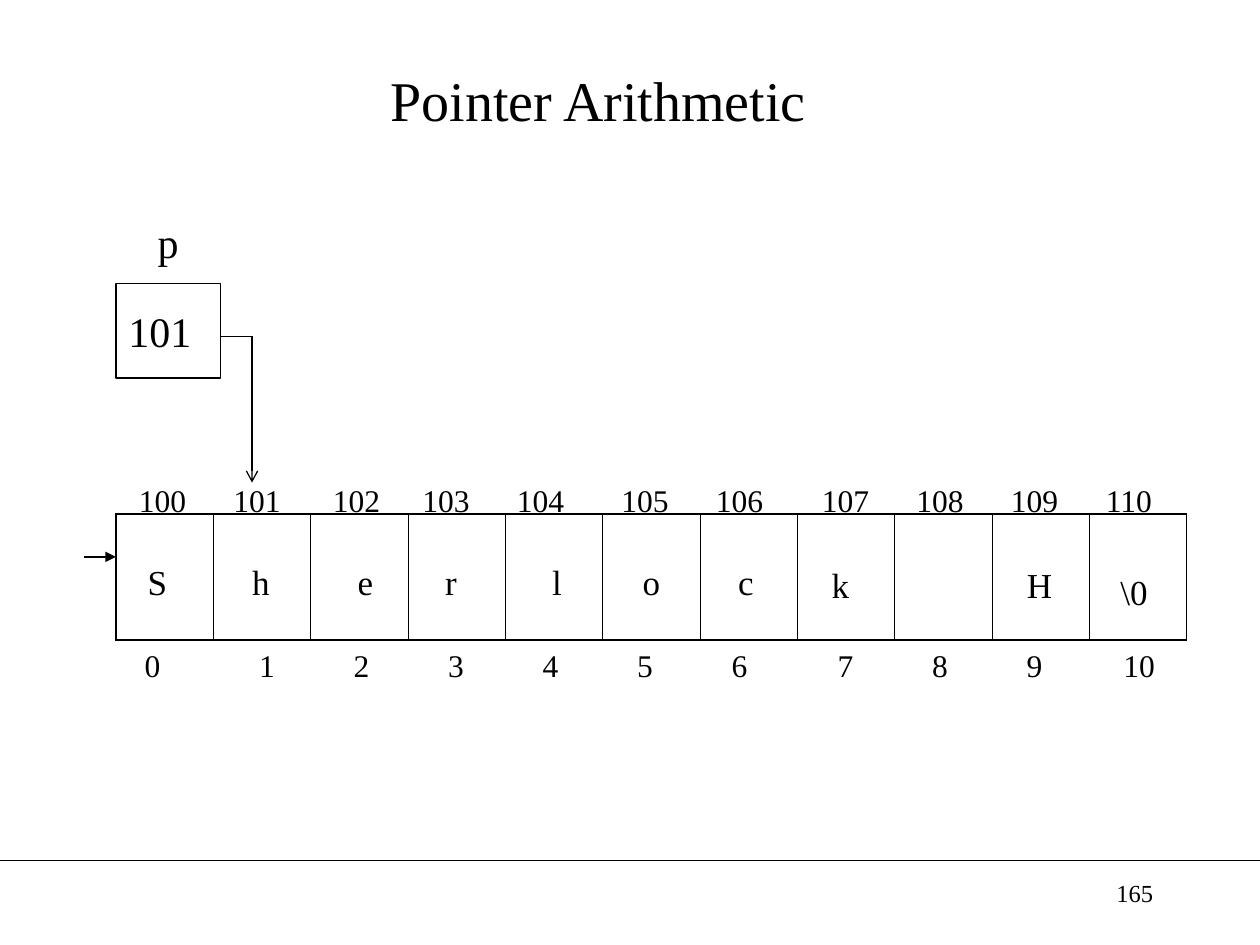
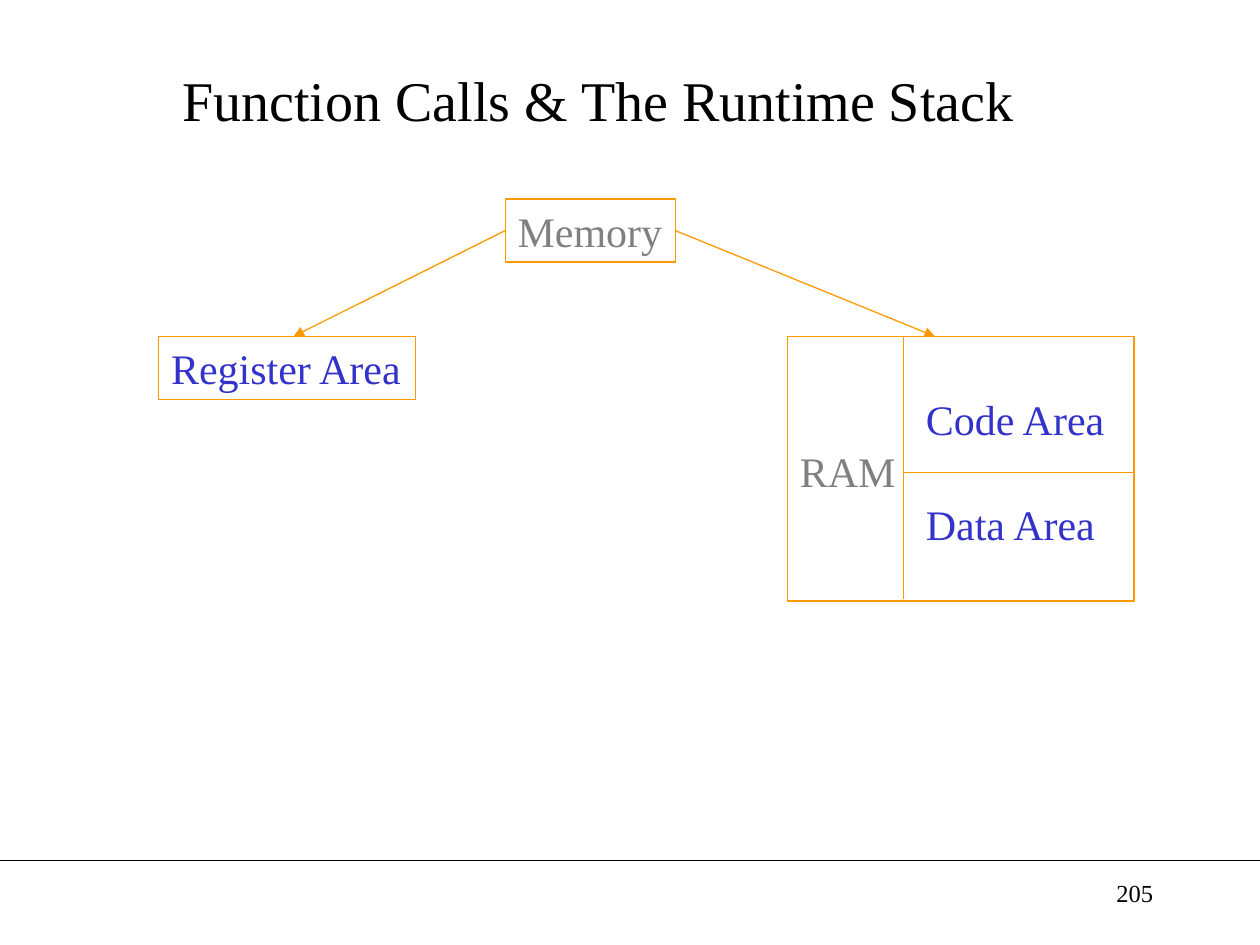
from typing import NamedTuple

from lxml.etree import SubElement
from pptx import Presentation
from pptx.dml.color import RGBColor
from pptx.enum.shapes import MSO_CONNECTOR as Link, MSO_SHAPE as Form
from pptx.enum.text import MSO_ANCHOR as Anchor, PP_ALIGN as Align
from pptx.oxml import parse_xml
from pptx.oxml.ns import nsdecls, qn
from pptx.util import Inches, Pt

FONT = "Times New Roman"
HUES = {
    "ink": "000000",
    "paper": "FFFFFF",
    "edge": "FF9900",
    "gray": "808080",
    "blue": "3333CC",
}


class Box(NamedTuple):
    left: float
    top: float
    width: float
    height: float


class Para(NamedTuple):
    text: str
    hue: str = "ink"
    indent: float = 0


class Row(NamedTuple):
    top: float
    width: float
    height: float
    size: int
    marks: dict[str, float]  # label: left edge


# Slide 1: labels around the array
ROWS = [
    Row(5.08, 0.58, 0.4, 18, {
        "0": 0.92, "1": 1.83, "2": 2.58, "3": 3.33, "4": 4.08, "5": 4.83,
        "6": 5.58, "7": 6.42, "8": 7.17, "9": 7.92, "10": 8.75}),
    Row(3.77, 0.58, 0.4, 18, {
        "100": 1, "101": 1.75, "102": 2.54, "103": 3.25, "104": 4, "105": 4.83,
        "106": 5.58, "107": 6.42, "108": 7.17, "109": 7.92, "110": 8.67}),
    Row(4.4, 0.5, 0.44, 20, {
        "S": 1, "h": 1.82, "e": 2.65, "r": 3.33, "l": 4.17, "o": 4.92,
        "c": 5.67}),
    Row(4.42, 0.5, 0.44, 20, {"k": 6.42, "H": 8}),
    Row(4.48, 0.5, 0.44, 20, {"\\0": 8.75}),
]


def color(name: str) -> RGBColor:
    return RGBColor.from_string(HUES[name])


def place(box: Box) -> list:
    return [Inches(n) for n in box]


def write(shape, *paras: Para, size: int = 24, align=Align.LEFT,
          anchor=Anchor.TOP, wrap: bool = True, top: float = 0.05) -> None:
    frame = shape.text_frame
    frame.word_wrap = wrap
    frame.vertical_anchor = anchor
    frame.margin_left = frame.margin_right = Inches(0.1)
    frame.margin_top, frame.margin_bottom = Inches(top), Inches(0.05)
    for i, item in enumerate(paras):
        para = frame.add_paragraph() if i else frame.paragraphs[0]
        para.alignment = align
        para.space_before = Pt(1.2 if i else 0)
        if item.indent:
            props = para._p.get_or_add_pPr()
            props.set("marL", str(Inches(item.indent)))
            props.set("indent", "0")
        run = para.add_run()
        run.text = item.text
        run.font.name, run.font.size = FONT, Pt(size)
        run.font.color.rgb = color(item.hue)


def label(slide, box: Box, text: str, **style) -> None:
    write(slide.shapes.add_textbox(*place(box)), Para(text), **style)


def block(slide, box: Box, *paras: Para, edge: str = "edge", **style):
    shape = slide.shapes.add_shape(Form.RECTANGLE, *place(box))
    shape.shadow.inherit = False
    shape.fill.solid()
    shape.fill.fore_color.rgb = color("paper")
    shape.line.color.rgb = color(edge)
    shape.line.width = Pt(0.75)
    write(shape, *paras, **style)
    return shape


def rule(slide, x1: float, y1: float, x2: float, y2: float,
         hue: str = "ink", head: str = ""):
    line = slide.shapes.add_connector(
        Link.STRAIGHT, Inches(x1), Inches(y1), Inches(x2), Inches(y2))
    line.line.color.rgb = color(hue)
    line.line.width = Pt(0.75)
    if head:
        SubElement(line.line._get_or_add_ln(), qn("a:tailEnd"), type=head)
    SubElement(line._element.spPr, qn("a:effectLst"))
    return line


def start(deck, title: str, page: str):
    """Add a slide with its title, footer rule and page number."""
    slide = deck.slides.add_slide(deck.slide_layouts[5])
    rule(slide, 0, 6.83, 10, 6.83)
    head = slide.shapes.title
    head.left, head.top, head.width, head.height = place(
        Box(0.5, 0.25, 8.5, 1.08))
    write(head, Para(title), size=32, align=Align.CENTER, anchor=Anchor.MIDDLE)
    label(slide, Box(7.17, 6.92, 2.08, 0.5), page, size=14, align=Align.RIGHT)
    return slide


def border(cell, **widths: float) -> None:
    props = cell._tc.get_or_add_tcPr()
    for i, (side, width) in enumerate(widths.items()):
        props.insert(i, parse_xml(
            f'<a:ln{side} {nsdecls("a")} w="{Pt(width)}"><a:solidFill>'
            f'<a:srgbClr val="{HUES["ink"]}"/></a:solidFill></a:ln{side}>'))


def array(slide, box: Box, count: int) -> None:
    table = slide.shapes.add_table(1, count, *place(box)).table
    table.first_row = table.horz_banding = False
    thick, thin = 1.08, 0.45
    for i in range(count):
        table.columns[i].width = Inches(box.width / count)
        cell = table.cell(0, i)
        cell.fill.background()
        border(cell, L=thin if i else thick,
               R=thin if i < count - 1 else thick, T=thick, B=thick)


def pointer(deck) -> None:
    slide = start(deck, "Pointer Arithmetic", "165")
    array(slide, Box(0.92, 4.08, 8.5, 1), 11)

    # Pointer variable and its arrow
    label(slide, Box(0.67, 1.67, 1.33, 0.5), "p", align=Align.CENTER)
    block(slide, Box(0.92, 2.25, 0.83, 0.75), Para("101"), edge="ink",
          anchor=Anchor.MIDDLE)
    rule(slide, 1.75, 2.67, 2, 2.67)
    rule(slide, 2, 2.67, 2, 3.83, head="arrow")
    rule(slide, 0.67, 4.42, 0.92, 4.42, head="triangle")

    # Indexes, addresses and letters
    for row in ROWS:
        for text, left in row.marks.items():
            label(slide, Box(left, row.top, row.width, row.height), text,
                  size=row.size, align=Align.CENTER)


def stack(deck) -> None:
    slide = start(deck, "Function Calls & The Runtime Stack", "205")

    # Memory areas
    memory = block(slide, Box(4.01, 1.58, 1.35, 0.5), Para("Memory", "gray"),
                   wrap=False)
    block(slide, Box(1.26, 2.67, 2.04, 0.5), Para("Register Area", "blue"),
          wrap=False)
    block(slide, Box(6.25, 2.67, 2.75, 2.1), Para("Code Area", "blue", 1),
          Para("RAM", "gray"), Para("Data Area", "blue", 1), top=0.45)
    rule(slide, 7.17, 2.67, 7.17, 4.75, "edge")
    rule(slide, 7.17, 3.75, 9, 3.75, "edge")

    # Arrows from memory to its areas
    for side, x, end in ((1, 4.01, 2.33), (3, 5.36, 7.42)):
        arrow = rule(slide, x, 1.83, end, 2.67, "edge", "triangle")
        arrow.begin_connect(memory, side)


def main() -> None:
    deck = Presentation()
    deck.slide_width, deck.slide_height = Inches(10), Inches(7.5)
    pointer(deck)
    stack(deck)
    deck.save("out.pptx")


if __name__ == "__main__":
    main()
